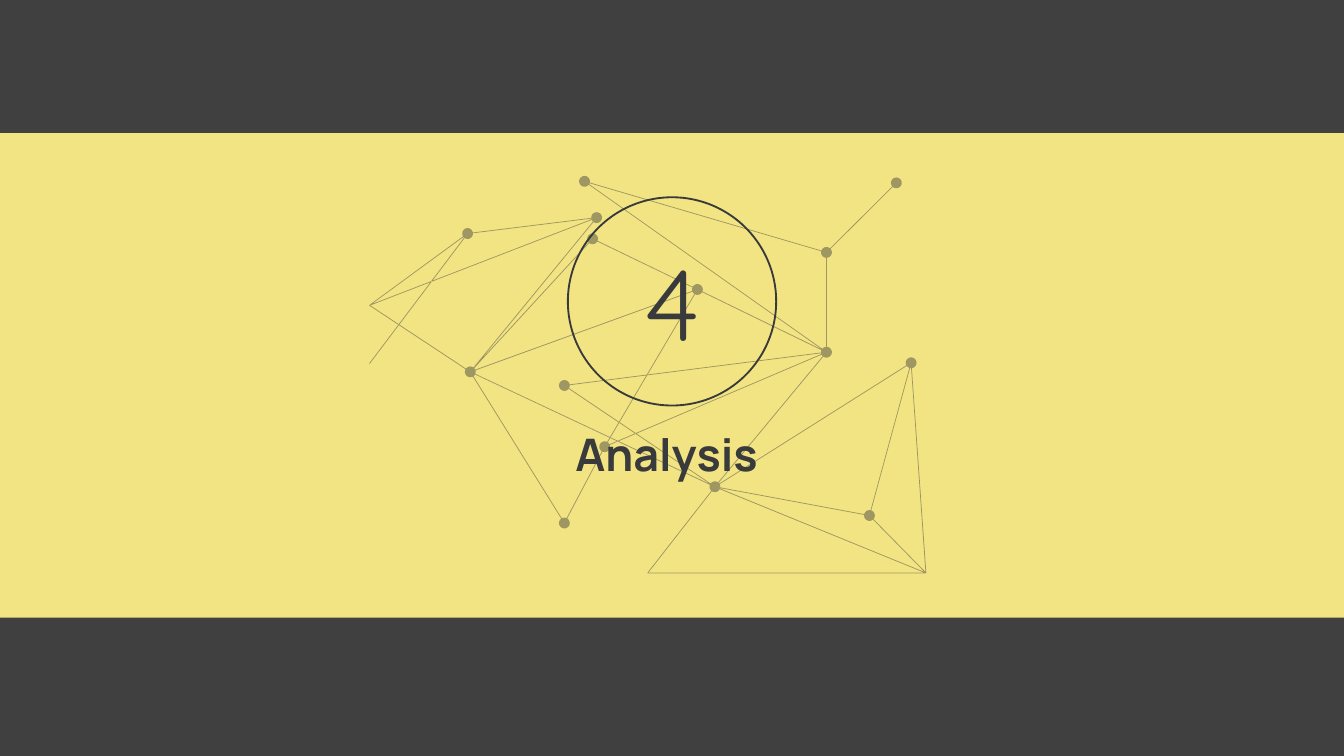
"""Section slide: number badge and title over a node network on a yellow band."""
import math
import lxml.etree
import pptx
import pptx.dml.color
import pptx.enum.shapes
import pptx.enum.text
import pptx.oxml.ns
import pptx.util

SECTION_NUMBER = "4"
SECTION_TITLE = "Analysis"

BAND = (0, 17.6, 100, 64.1)
BADGE = (42.25, 26.1, 15.5, 27.55)
TITLE = (29.45, 54.8, 40.3, 10.5)

NODES = {
    "A": (43.5, 24), "B": (66.7, 24.2), "C": (61.5, 33.4), "D": (44.4, 28.8),
    "E": (44.1, 31.6), "F": (34.8, 30.9), "G": (51.9, 38.3), "H": (61.5, 46.6),
    "I": (35, 49.2), "J": (42, 51), "K": (45, 59.1), "L": (42, 69.2),
    "M": (53.2, 64.4), "N": (67.8, 48), "O": (64.7, 68.2),
}
CORNERS = {"P": (27.5, 40.4), "Q": (27.5, 48.1), "R": (48.2, 75.8), "S": (68.9, 75.8)}
EDGES = (
    "AC AH BC CH DF DP DI EI EG GH GI GK FP FQ PI "
    "IL IM KL KH JH JM HM MN MR MS MO NO NS OS RS"
).split()

THEME = {
    "backdrop": "404040", "band": "F3E483", "ink": "383A3B", "network_alpha": 45,
    "number_font": "Quicksand", "number_size": 54,
    "title_font": "Manrope", "title_size": 24, "ring": 1,
}
WIDTH = pptx.util.Inches(10)
HEIGHT = WIDTH * 9 // 16
NODE_RADIUS = pptx.util.Inches(0.04)
EDGE_HALF = pptx.util.Pt(0.2)
NODE_SIDES = 32


def rgb(name):
    return pptx.dml.color.RGBColor.from_string(THEME[name])


def place(x, y):
    return round(WIDTH * x / 100), round(HEIGHT * y / 100)


def box(area):
    return (*place(*area[:2]), *place(*area[2:]))


def write(frame, text, font, size, bold=False, inset=None):
    frame.word_wrap = True
    frame.vertical_anchor = pptx.enum.text.MSO_ANCHOR.MIDDLE
    if inset is not None:
        frame.margin_left = frame.margin_right = pptx.util.Inches(inset)
        frame.margin_top = frame.margin_bottom = pptx.util.Inches(inset)
    paragraph = frame.paragraphs[0]
    paragraph.alignment = pptx.enum.text.PP_ALIGN.CENTER
    run = paragraph.add_run()
    run.text = text
    run.font.name, run.font.size = THEME[font], pptx.util.Pt(THEME[size])
    run.font.bold = bold
    run.font.color.rgb = rgb("ink")


def node_outline(center):
    turns = [2 * math.pi * step / NODE_SIDES for step in range(NODE_SIDES)]
    return [(round(center[0] + NODE_RADIUS * math.cos(turn)),
             round(center[1] + NODE_RADIUS * math.sin(turn))) for turn in turns]


def edge_outline(start, end):
    points = {**NODES, **CORNERS}
    (x1, y1), (x2, y2) = place(*points[start]), place(*points[end])
    length = math.hypot(x2 - x1, y2 - y1)
    ux, uy = (x2 - x1) / length, (y2 - y1) / length
    near = NODE_RADIUS if start in NODES else 0
    far = length - (NODE_RADIUS if end in NODES else 0)
    return [(round(x1 + ux * along - uy * side), round(y1 + uy * along + ux * side))
            for along, side in ((near, EDGE_HALF), (far, EDGE_HALF),
                                (far, -EDGE_HALF), (near, -EDGE_HALF))]


def draw_network(shapes):
    outlines = [node_outline(place(*center)) for center in NODES.values()]
    outlines += [edge_outline(*edge) for edge in EDGES]
    builder = shapes.build_freeform(*outlines[0][0])
    builder.add_line_segments(outlines[0][1:], close=True)
    for outline in outlines[1:]:
        builder.move_to(*outline[0])
        builder.add_line_segments(outline[1:], close=True)
    network = builder.convert_to_shape()
    network.shadow.inherit = False
    network.line.fill.background()
    network.fill.solid()
    network.fill.fore_color.rgb = rgb("ink")
    tint = network.element.spPr.find(".//" + pptx.oxml.ns.qn("a:srgbClr"))
    alpha = lxml.etree.SubElement(tint, pptx.oxml.ns.qn("a:alpha"))
    alpha.set("val", str(THEME["network_alpha"] * 1000))


def main():
    deck = pptx.Presentation()
    deck.slide_width, deck.slide_height = WIDTH, HEIGHT
    slide = deck.slides.add_slide(deck.slide_layouts[6])
    slide.background.fill.solid()
    slide.background.fill.fore_color.rgb = rgb("backdrop")
    preset = pptx.enum.shapes.MSO_SHAPE

    band = slide.shapes.add_shape(preset.RECTANGLE, *box(BAND))
    band.shadow.inherit = False
    band.fill.solid()
    band.fill.fore_color.rgb = rgb("band")
    band.line.fill.background()

    draw_network(slide.shapes)

    badge = slide.shapes.add_shape(preset.OVAL, *box(BADGE))
    badge.shadow.inherit = False
    badge.fill.background()
    badge.line.color.rgb = rgb("ink")
    badge.line.width = pptx.util.Pt(THEME["ring"])
    write(badge.text_frame, SECTION_NUMBER, font="number_font", size="number_size")

    title = slide.shapes.add_textbox(*box(TITLE))
    write(title.text_frame, SECTION_TITLE, font="title_font", size="title_size",
          bold=True, inset=0.02)

    deck.save("out.pptx")


if __name__ == "__main__":
    main()
